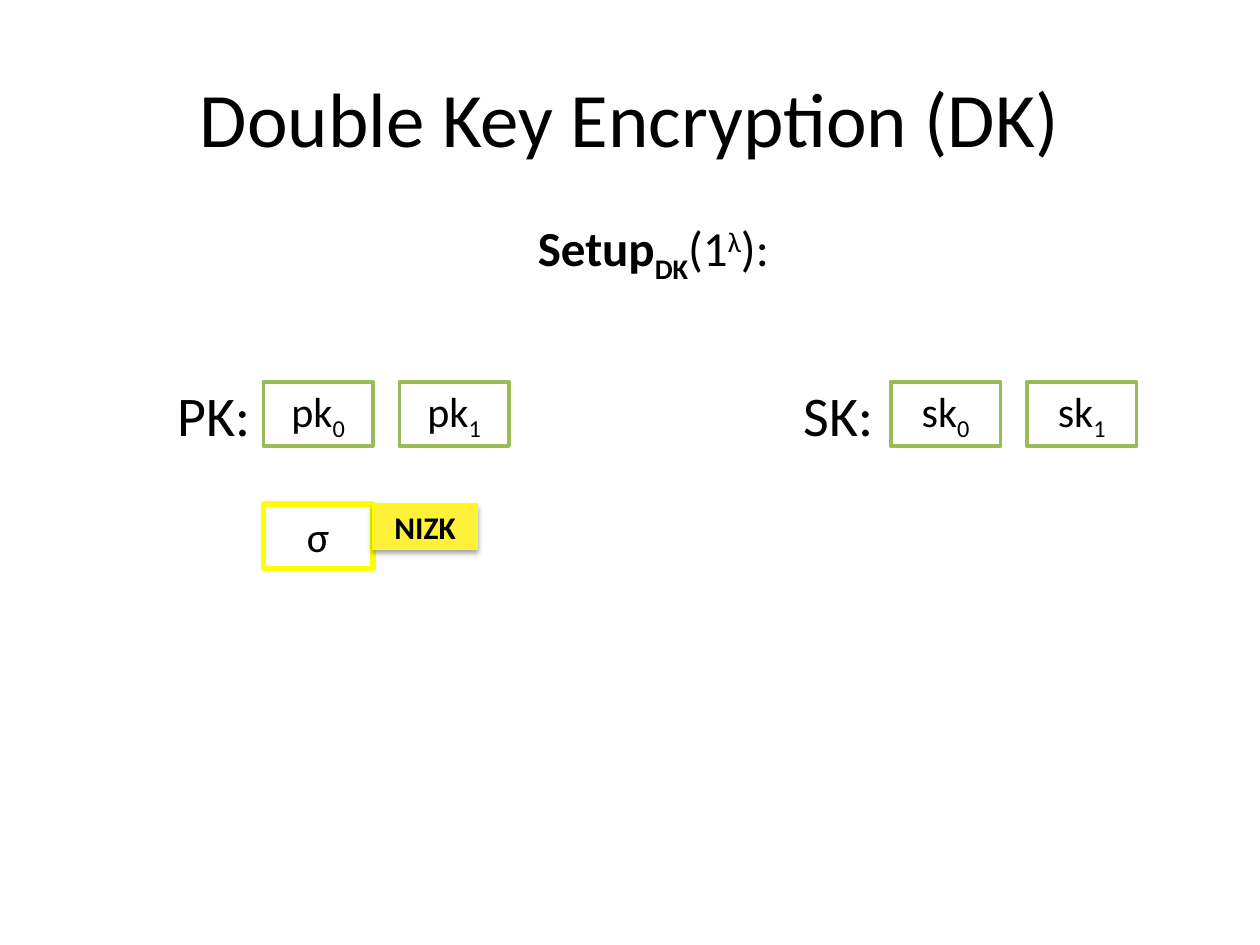
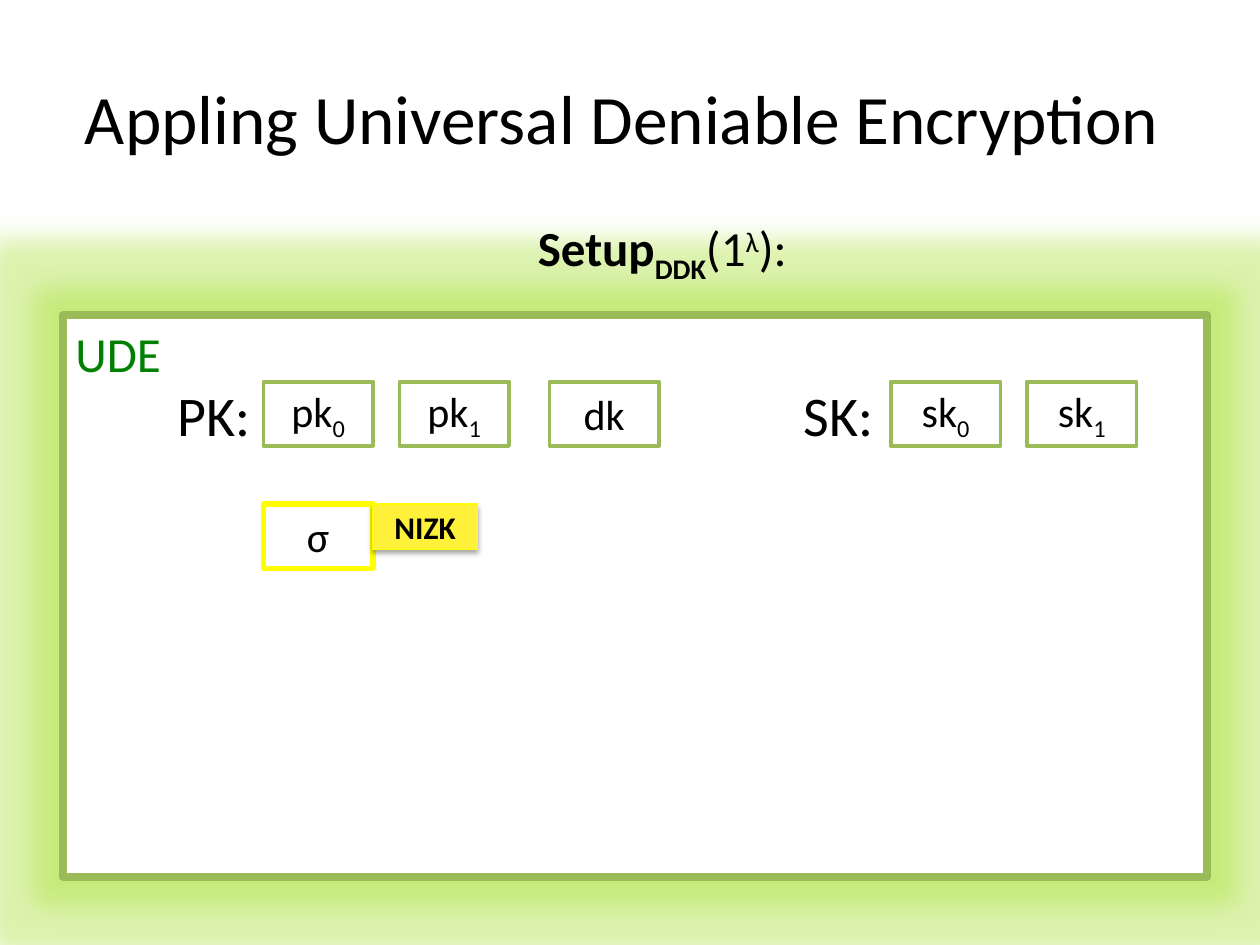
from lxml.etree import SubElement
from pptx import Presentation
from pptx.dml.color import RGBColor
from pptx.enum.shapes import MSO_SHAPE
from pptx.enum.text import MSO_ANCHOR, MSO_AUTO_SIZE, PP_ALIGN
from pptx.oxml.ns import qn
from pptx.util import Inches, Pt

FONT = "Calibri"
BLACK, WHITE = "000000", "FFFFFF"
GREEN, DARK_GREEN, GLOW_GREEN = "9BBB59", "008000", "A8E034"
YELLOW, TAG_YELLOW = "FFFF00", "FFF039"
SUB, SUPER = -25000, 30000
KEY_W, KEY_H, KEY_TOP = 0.87, 0.51, 3.03
PK_LEFT, SK_LEFT, KEY_STEP = 2.09, 7.07, 1.08
PROOF_TOP = 4


def rgb(value):
    return RGBColor.from_string(value)


def format_paragraph(p, size, color=BLACK, bold=None):
    p.font.name = FONT
    p.font.size = Pt(size)
    p.font.color.rgb = rgb(color)
    p.font.bold = bold


def add_run(p, text, baseline=0, bold=None):
    r = p.add_run()
    r.text = text
    r.font.bold = bold
    if baseline:
        r._r.get_or_add_rPr().set("baseline", str(baseline))


def add_effect(sp, kind, color, alpha, **attributes):
    effects = sp._element.spPr.find(qn("a:effectLst"))
    effect = SubElement(effects, qn(f"a:{kind}"))
    for name, value in attributes.items():
        effect.set(name, str(value))
    fill = SubElement(effect, qn("a:srgbClr"), val=color)
    SubElement(fill, qn("a:alpha"), val=str(alpha * 1000))


def add_title(s, text, size):
    title = s.shapes.title
    title.left, title.top = Inches(0.5), Inches(0.3)
    title.width, title.height = Inches(9), Inches(1.25)
    tf = title.text_frame
    tf.text = text
    tf.auto_size = MSO_AUTO_SIZE.NONE
    tf.vertical_anchor = MSO_ANCHOR.MIDDLE
    p = tf.paragraphs[0]
    p.alignment = PP_ALIGN.CENTER
    format_paragraph(p, size)


def add_label(s, runs, left, top, width, height, size, color=BLACK):
    box = s.shapes.add_textbox(Inches(left), Inches(top), Inches(width), Inches(height))
    tf = box.text_frame
    tf.word_wrap = False
    tf.auto_size = MSO_AUTO_SIZE.SHAPE_TO_FIT_TEXT
    p = tf.paragraphs[0]
    format_paragraph(p, size, color)
    for run in runs:
        add_run(p, *run)


def add_box(s, left, top, width, height, line, weight, fill=WHITE):
    sp = s.shapes.add_shape(MSO_SHAPE.RECTANGLE, Inches(left), Inches(top),
                            Inches(width), Inches(height))
    sp.shadow.inherit = False
    sp.fill.solid()
    sp.fill.fore_color.rgb = rgb(fill)
    sp.line.color.rgb = rgb(line)
    sp.line.width = Pt(weight)
    return sp


def write_centered(sp, text, subscript="", size=24, bold=None):
    tf = sp.text_frame
    tf.vertical_anchor = MSO_ANCHOR.MIDDLE
    p = tf.paragraphs[0]
    p.alignment = PP_ALIGN.CENTER
    format_paragraph(p, size, bold=bold)
    add_run(p, text)
    if subscript:
        add_run(p, subscript, SUB)


def add_key(s, left, text, subscript=""):
    sp = add_box(s, left, KEY_TOP, KEY_W, KEY_H, GREEN, 2)
    write_centered(sp, text, subscript)


def add_key_pair(s, label, name, label_left, left):
    add_label(s, [(label,)], label_left, 2.97, 0.78, 0.64, 32)
    for i in range(2):
        add_key(s, left + i * KEY_STEP, name, str(i))


def add_proof(s):
    sigma = add_box(s, PK_LEFT, PROOF_TOP, KEY_W, KEY_H, YELLOW, 3)
    write_centered(sigma, "σ")
    tag = add_box(s, PK_LEFT + KEY_W, PROOF_TOP, 0.83, 0.36, YELLOW, 0.75, TAG_YELLOW)
    add_effect(tag, "outerShdw", BLACK, 35, blurRad=Pt(3.1), dist=Pt(1.8),
               dir=90 * 60000, rotWithShape=0)
    write_centered(tag, "NIZK", size=18, bold=True)


def add_setup(s, scheme, width):
    runs = [("Setup", 0, True), (scheme, SUB, True), ("(1",), ("λ", SUPER), ("):",)]
    add_label(s, runs, 4.17, 1.68, width, 0.57, 28)
    add_key_pair(s, "PK:", "pk", 1.31, PK_LEFT)
    add_key_pair(s, "SK:", "sk", 6.28, SK_LEFT)
    add_proof(s)


def add_deniable_frame(s):
    frame = add_box(s, 0.5, 2.5, 9.08, 4.46, GREEN, 4.5)
    add_effect(frame, "glow", GLOW_GREEN, 40, rad=Inches(0.4))
    add_label(s, [("UDE",)], 0.5, 2.52, 0.89, 0.57, 28, DARK_GREEN)


def main():
    prs = Presentation()
    prs.slide_width, prs.slide_height = Inches(10), Inches(7.5)
    title_only = prs.slide_layouts[5]

    s = prs.slides.add_slide(title_only)
    add_title(s, "Double Key Encryption (DK)", 44)
    add_setup(s, "DK", 2.11)

    s = prs.slides.add_slide(title_only)
    add_title(s, "Appling Universal Deniable Encryption ", 39.6)
    add_deniable_frame(s)
    add_setup(s, "DDK", 2.28)
    add_key(s, 4.36, "dk")

    prs.save("out.pptx")


if __name__ == "__main__":
    main()
